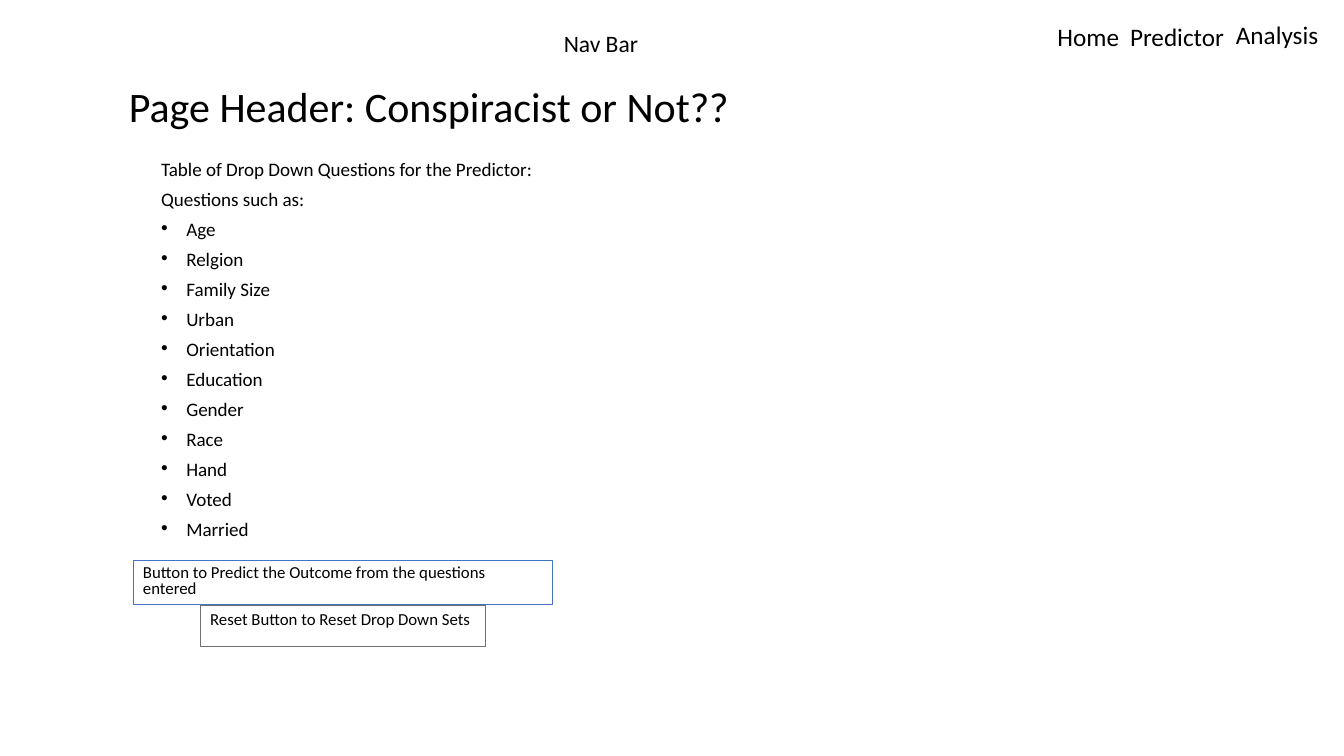
import pptx
import pptx.util
import pptx.dml.color
import pptx.enum.shapes
import pptx.enum.text
import lxml.etree
from dataclasses import dataclass

Inches, Pt = pptx.util.Inches, pptx.util.Pt
Anchor, Align = pptx.enum.text.MSO_ANCHOR, pptx.enum.text.PP_ALIGN


@dataclass(frozen=True)
class Theme:
    font: str = "Calibri"
    ink: str = "000000"
    predict_line: str = "4472C4"
    reset_line: str = "707070"
    header_size: float = 30
    link_size: float = 18
    caption_size: float = 16.8
    question_size: float = 13.6
    button_size: float = 12


THEME = Theme()
LINKS = ["Home", "Predictor", "Analysis"]
INTRO = ["Table of Drop Down Questions for the Predictor:", "Questions such as:"]
QUESTIONS = ["Age", "Relgion", "Family Size", "Urban", "Orientation", "Education",
             "Gender", "Race", "Hand", "Voted", "Married"]


def color(code):
    return pptx.dml.color.RGBColor.from_string(code)


def write(shape, lines, size, spacing=1.0, before=0, align=Align.LEFT, anchor=Anchor.TOP):
    """Fill a shape with one paragraph per line and return the paragraphs."""
    frame = shape.text_frame
    frame.word_wrap = True
    frame.vertical_anchor = anchor
    frame.text = "\n".join(lines)
    for paragraph in frame.paragraphs:
        paragraph.alignment = align
        paragraph.line_spacing = spacing
        paragraph.space_before = Pt(before)
        paragraph.font.name = THEME.font
        paragraph.font.size = Pt(size)
        paragraph.font.color.rgb = color(THEME.ink)
    return frame.paragraphs


def add_text(slide, box, lines, size, **layout):
    shape = slide.shapes.add_textbox(*map(Inches, box))
    return write(shape, lines, size, **layout)


def add_bullet(paragraph, indent):
    properties = paragraph._p.get_or_add_pPr()
    properties.set("marL", str(Inches(indent)))
    properties.set("indent", str(-Inches(indent)))
    namespace = pptx.oxml.ns.qn("a:buFont")
    lxml.etree.SubElement(properties, namespace, typeface="Arial")
    lxml.etree.SubElement(properties, pptx.oxml.ns.qn("a:buChar"), char="•")


def add_navigation(slide, box):
    left, top, width, height = box
    add_text(slide, (left, top, 10.1, height), ["Nav Bar"], THEME.caption_size,
             spacing=0.7, align=Align.CENTER, anchor=Anchor.BOTTOM)
    # Links sit at the right, each as far along as its predecessor's word needs
    for label, offset, drop in zip(LINKS, (9.48, 10.2, 11.25), (0.09, 0.09, 0.07)):
        add_text(slide, (left + offset, top + drop, 1.23, 0.4), [label], THEME.link_size)


def add_header(slide, box):
    add_text(slide, box, ["Page Header: Conspiracist or Not??"], THEME.header_size,
             spacing=0.7, anchor=Anchor.MIDDLE)


def add_questions(slide, box):
    paragraphs = add_text(slide, box, INTRO + QUESTIONS, THEME.question_size,
                          spacing=0.7, before=10)
    for paragraph in paragraphs[len(INTRO):]:
        add_bullet(paragraph, 0.25)


def add_button(slide, box, label, line, spacing):
    button = slide.shapes.add_shape(pptx.enum.shapes.MSO_SHAPE.RECTANGLE, *map(Inches, box))
    button.shadow.inherit = False
    button.fill.background()
    button.line.color.rgb = color(line)
    button.line.width = Pt(0.75)
    write(button, [label], THEME.button_size, spacing=spacing, before=10)


def add_buttons(slide, box):
    left, top, width, height = box
    add_button(slide, (left, top, width, 0.44),
               "Button to Predict the Outcome from the questions entered",
               THEME.predict_line, 0.8)
    # The reset button is centred below the predict button
    reset_width = 0.68 * width
    add_button(slide, (left + (width - reset_width) / 2, top + height - 0.4, reset_width, 0.4),
               "Reset Button to Reset Drop Down Sets", THEME.reset_line, 0.9)


def main():
    presentation = pptx.Presentation()
    presentation.slide_width = Inches(13.33)
    presentation.slide_height = Inches(7.5)
    slide = presentation.slides.add_slide(presentation.slide_layouts[6])
    add_navigation(slide, (0.91, 0.07, 12.42, 0.54))
    add_header(slide, (1.18, 0.81, 10, 0.6))
    add_questions(slide, (1.5, 1.57, 6.27, 3.91))
    add_buttons(slide, (1.32, 5.56, 4.16, 0.85))
    presentation.save("out.pptx")


if __name__ == "__main__":
    main()
